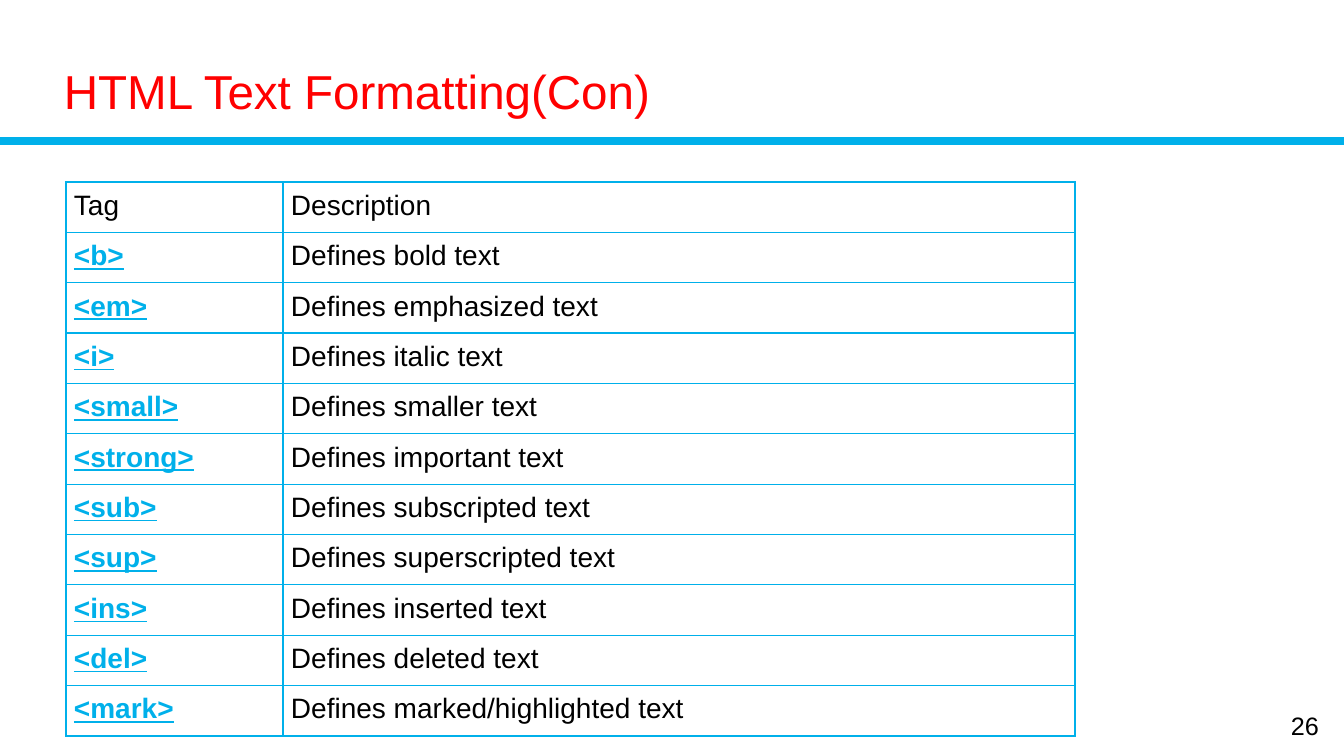
from lxml import etree
from pptx import Presentation
from pptx import util as u
from pptx.dml.color import RGBColor
from pptx.enum import shapes, text
from pptx.oxml import ns

SKY = RGBColor(0x00, 0xB0, 0xEA)
RED = RGBColor(0xFF, 0x00, 0x00)
BLACK = RGBColor(0x00, 0x00, 0x00)
WHITE = RGBColor(0xFF, 0xFF, 0xFF)

TAGS = [
    ("Tag", "Description"),
    ("<b>", "Defines bold text"),
    ("<em>", "Defines emphasized text"),
    ("<i>", "Defines italic text"),
    ("<small>", "Defines smaller text"),
    ("<strong>", "Defines important text"),
    ("<sub>", "Defines subscripted text"),
    ("<sup>", "Defines superscripted text"),
    ("<ins>", "Defines inserted text"),
    ("<del>", "Defines deleted text"),
    ("<mark>", "Defines marked/highlighted text"),
]


def px(length):
    return u.Emu(round(length * 914400 / 100.8))


def style(paragraph, size, color, tag=False):
    for run in paragraph.runs:
        run.font.name = "Arial"
        run.font.size = u.Pt(size)
        run.font.color.rgb = color
        run.font.bold = tag
        run.font.underline = tag


def add_label(slide, box, wording, size, color, wrap=True):
    label = slide.shapes.add_textbox(*map(px, box)).text_frame
    label.word_wrap = wrap
    label.vertical_anchor = text.MSO_ANCHOR.MIDDLE
    label.text = wording
    style(label.paragraphs[0], size, color)
    return label.paragraphs[0]


def add_heading(slide, box, wording):
    left, top, width, height = box
    title = add_label(slide, (left, top, width, height), wording, 34, RED)
    title.line_spacing = 0.9


def add_rule(slide, left, top, width):
    rule = slide.shapes.add_connector(
        shapes.MSO_CONNECTOR.STRAIGHT, px(left), px(top), px(left + width), px(top))
    rule.line.color.rgb = SKY
    rule.line.width = u.Pt(6)
    etree.SubElement(rule._element.spPr, ns.qn("a:effectLst"))


def add_borders(cell):
    properties = cell._tc.get_or_add_tcPr()
    for position, side in enumerate(("lnL", "lnR", "lnT", "lnB")):
        border = etree.Element(ns.qn(f"a:{side}"), w=str(u.Pt(1)))
        fill = etree.SubElement(border, ns.qn("a:solidFill"))
        etree.SubElement(fill, ns.qn("a:srgbClr"), val=str(SKY))
        properties.insert(position, border)


def add_tag_table(slide, box, tag_width):
    left, top, width, height = box
    table = slide.shapes.add_table(len(TAGS), 2, *map(px, box)).table
    table.first_row = False
    table.horz_banding = False
    table.columns[0].width = px(tag_width)
    table.columns[1].width = px(width - tag_width)
    for row, wordings in enumerate(TAGS):
        table.rows[row].height = px(height / len(TAGS))
        for column, wording in enumerate(wordings):
            cell = table.cell(row, column)
            cell.margin_left = cell.margin_right = px(8)
            cell.margin_top = cell.margin_bottom = px(8)
            cell.fill.solid()
            cell.fill.fore_color.rgb = WHITE
            add_borders(cell)
            cell.text_frame.text = wording
            is_tag = row > 0 and column == 0
            style(cell.text_frame.paragraphs[0], 20, SKY if is_tag else BLACK, is_tag)


def main():
    deck = Presentation()
    deck.slide_width = px(1344)
    deck.slide_height = px(756)
    slide = deck.slides.add_slide(deck.slide_layouts[6])
    add_rule(slide, 0, 141, 1344)
    add_label(slide, (1281, 705, 51, 40), "26", 18, BLACK, wrap=False)
    add_tag_table(slide, (66, 182, 1009, 554), 217)
    add_heading(slide, (54, 38, 1212, 112), "HTML Text Formatting(Con)")
    deck.save("out.pptx")


if __name__ == "__main__":
    main()
